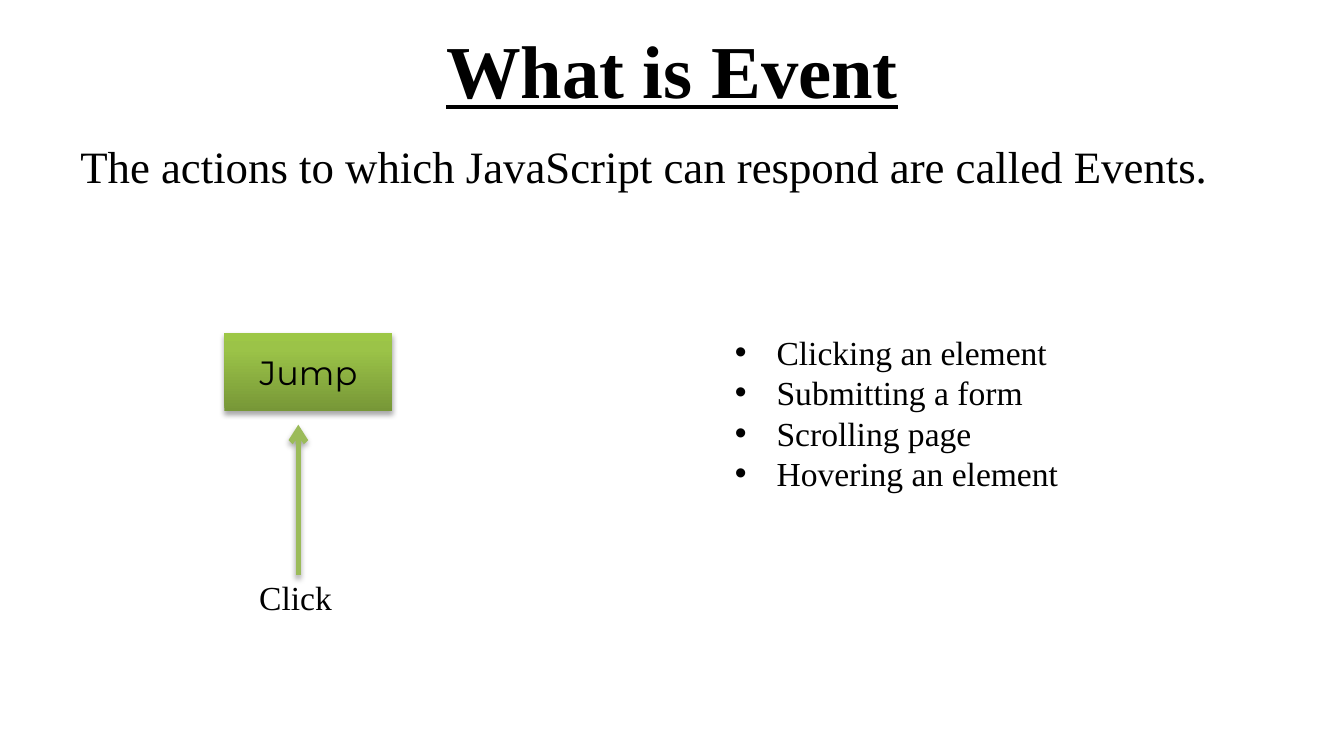
import copy

import pptx
import pptx.dml.color
import pptx.enum.dml
import pptx.enum.shapes
import pptx.enum.text
import pptx.oxml
import pptx.oxml.ns
import pptx.util
from lxml import etree

Inches = pptx.util.Inches
Pt = pptx.util.Pt
qn = pptx.oxml.ns.qn
ALIGN = pptx.enum.text.PP_ALIGN
ANCHOR = pptx.enum.text.MSO_ANCHOR
SERIF = "Times New Roman"


def color(value):
    return pptx.dml.color.RGBColor.from_string(value)


def write(shape, text, size=18, font=SERIF, bold=False, underline=False,
          align=ALIGN.LEFT, anchor=ANCHOR.TOP, wrap=True, before=0, bullet=None):
    frame = shape.text_frame
    frame.text = text
    frame.word_wrap = wrap
    frame.vertical_anchor = anchor
    if not wrap:
        frame.auto_size = pptx.enum.text.MSO_AUTO_SIZE.SHAPE_TO_FIT_TEXT
    for paragraph in frame.paragraphs:
        paragraph.alignment = align
        paragraph.space_before = Pt(before)
        style = paragraph.runs[0].font
        style.name = font
        style.size = Pt(size)
        style.bold = bold
        style.underline = underline
        style.color.rgb = color("000000")
        if bullet:
            properties = paragraph._p.get_or_add_pPr()
            properties.set("marL", str(Inches(0.31)))
            properties.set("indent", str(-Inches(0.31)))
            etree.SubElement(properties, qn("a:buFont")).set("typeface", "Arial")
            etree.SubElement(properties, qn("a:buChar")).set("char", bullet)


def add_text(slide, box, text, **style):
    shape = slide.shapes.add_textbox(*map(Inches, box))
    write(shape, text, **style)


def add_shadow(effects):
    shadow = etree.SubElement(effects, qn("a:outerShdw"), blurRad=str(Pt(3.1)),
                              dist=str(Pt(1.8)), dir="5400000", rotWithShape="0")
    shade = etree.SubElement(shadow, qn("a:srgbClr"), val="000000")
    etree.SubElement(shade, qn("a:alpha"), val="35000")


def add_heading(slide, left, top, width):
    add_text(slide, (left, top, width, 0.94), "What is Event", size=40, bold=True,
             underline=True, align=ALIGN.CENTER, anchor=ANCHOR.MIDDLE)
    add_text(slide, (left, top + 0.94, width, 3.71),
             "The actions to which JavaScript can respond are called Events.",
             size=24, before=3)


def add_button(slide, left, top, width, height):
    button = slide.shapes.add_shape(pptx.enum.shapes.MSO_SHAPE.RECTANGLE,
                                    *map(Inches, (left, top, width, height)))
    button.line.fill.background()
    button.fill.gradient()
    button.fill.gradient_angle = 90
    stop_list = button._element.spPr.find(qn("a:gradFill")).find(qn("a:gsLst"))
    stop_list.append(copy.deepcopy(stop_list[-1]))
    shades = [(0, "779737"), (0.8, "9BC348"), (1, "9DC746")]
    for stop, (position, shade) in zip(button.fill.gradient_stops, shades):
        stop.position = position
        stop.color.rgb = color(shade)
    button.shadow.inherit = False
    add_shadow(button._element.spPr.find(qn("a:effectLst")))
    write(button, "Jump", font="Montserrat", align=ALIGN.CENTER, anchor=ANCHOR.MIDDLE)


def add_click_arrow(slide, x, bottom, top):
    arrow = slide.shapes.add_connector(pptx.enum.shapes.MSO_CONNECTOR.STRAIGHT,
                                       *map(Inches, (x, bottom, x, top)))
    arrow.line.color.rgb = color("9BBB59")
    arrow.line.width = Pt(3)
    etree.SubElement(arrow.line._get_or_add_ln(), qn("a:tailEnd"), type="arrow")
    add_shadow(etree.SubElement(arrow._element.spPr, qn("a:effectLst")))


def add_click_example(slide, left, top):
    add_button(slide, left, top, 1.25, 0.58)
    add_text(slide, (left + 0.16, top + 1.76, 0.75, 0.4), "Click", wrap=False)
    add_click_arrow(slide, left + 0.55, top + 1.8, top + 0.68)


def add_event_list(slide, left, top):
    events = ["Clicking an element", "Submitting a form",
              "Scrolling page", "Hovering an element"]
    add_text(slide, (left, top, 2.64, 1.31), "\n".join(events), wrap=False, bullet="•")


def main():
    deck = pptx.Presentation()
    deck.slide_width = Inches(10)
    deck.slide_height = deck.slide_width * 9 // 16
    slide = deck.slides.add_slide(deck.slide_layouts[6])
    add_heading(slide, 0.5, 0.04, 9)
    add_click_example(slide, 1.67, 2.48)
    add_event_list(slide, 5.37, 2.42)
    deck.save("out.pptx")


if __name__ == "__main__":
    main()
